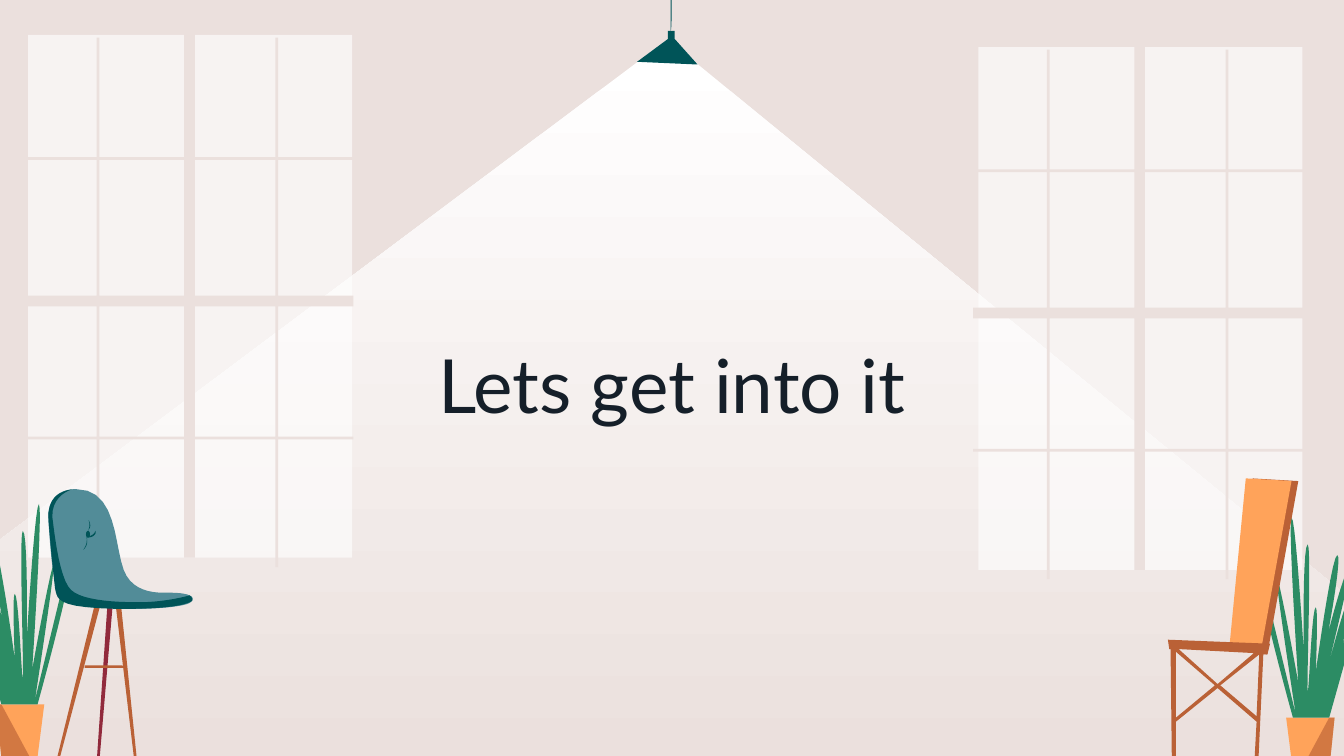
import itertools

import pptx
import pptx.dml.color
import pptx.enum.shapes
import pptx.enum.text
import pptx.oxml
import pptx.oxml.ns
import pptx.util
from pptx.util import Inches

COLORS = {
    "wall": "EBE0DD", "light": "FFFFFF", "teal": "005458", "seat": "528C98",
    "ink": "151F29", "orange": "FFA35A", "wood": "BA6136", "leaf": "2C8C64",
    "wine": "912A3C",
}

# Outlines: a pair is a corner, six numbers are a cubic curve.
CORD = [(4.99, -0.07), (5, -0.07, 5, 0.23, 4.99, 0.23)]
LEAVES = [
    (0.29, 3.75), (0.26, 3.75, 0.2, 4.74, 0.2, 4.74),
    (0.2, 4.74, 0.21, 3.96, 0.17, 3.95), (0.14, 3.95, 0.18, 5.04, 0.17, 5.05),
    (0.16, 5.05, 0.14, 4.42, 0.11, 4.42), (0.09, 4.42, 0.11, 4.9, 0.11, 4.9),
    (0.11, 4.9, -0.01, 4.03, -0.05, 4.03), (-0.09, 4.03, 0.02, 4.62, 0.02, 4.62),
    (0.02, 4.61, -0.11, 4.12, -0.14, 4.12), (-0.17, 4.12, 0.07, 5.06, 0.07, 5.06),
    (0.07, 5.06, -0.12, 4.3, -0.16, 4.3), (-0.18, 4.31, -0.13, 4.55, -0.07, 4.76),
    (-0.11, 4.62, -0.16, 4.49, -0.2, 4.49), (0.01, 5.24), (0.28, 5.24),
    (0.28, 5.24, 0.59, 4.13, 0.53, 4.1), (0.26, 5.21),
    (0.26, 5.21, 0.41, 4.24, 0.4, 4.2), (0.38, 4.2, 0.24, 4.98, 0.24, 4.98),
    (0.24, 4.98, 0.32, 3.77, 0.29, 3.75),
]
SEAT = [
    (0.57, 3.64), (0.87, 3.64, 0.85, 4.05, 0.92, 4.24),
    (0.98, 4.4, 1.14, 4.41, 1.22, 4.41), (1.24, 4.41, 1.25, 4.41, 1.27, 4.41),
    (1.33, 4.41, 1.48, 4.42, 1.42, 4.48), (1.39, 4.51, 1.2, 4.53, 1, 4.53),
    (0.77, 4.53, 0.52, 4.51, 0.47, 4.46), (0.39, 4.38, 0.38, 4.13, 0.36, 3.88),
    (0.34, 3.65, 0.52, 3.64, 0.55, 3.64),
]
SEAT_EDGE = [
    (0.54, 3.64), (0.54, 3.64, 0.38, 3.68, 0.39, 3.85),
    (0.41, 4.02, 0.45, 4.32, 0.53, 4.39), (0.6, 4.46, 0.82, 4.48, 0.99, 4.48),
    (1.03, 4.48, 1.06, 4.48, 1.09, 4.48), (1.28, 4.47, 1.41, 4.43, 1.41, 4.43),
    (1.41, 4.43, 1.44, 4.45, 1.43, 4.47), (1.42, 4.48, 1.34, 4.53, 0.96, 4.53),
    (0.93, 4.53, 0.9, 4.53, 0.86, 4.53), (0.4, 4.52, 0.43, 4.45, 0.41, 4.38),
    (0.4, 4.3, 0.36, 3.9, 0.36, 3.82), (0.37, 3.73, 0.41, 3.66, 0.54, 3.64),
]
THREADS = [
    [(0.66, 3.87), (0.67, 3.89, 0.68, 3.92, 0.66, 3.94),
     (0.65, 3.96, 0.64, 3.97, 0.64, 3.98), (0.65, 4, 0.66, 4.06, 0.62, 4.09),
     (0.65, 4.05, 0.65, 4.01, 0.64, 3.98), (0.64, 3.96, 0.68, 3.94, 0.66, 3.87)],
    [(0.71, 3.95), (0.72, 3.97, 0.7, 4, 0.65, 4),
     (0.65, 3.99, 0.7, 3.99, 0.71, 3.95)],
]
STOOL_LEGS = [
    ("wine", [(0.84, 4.48), (0.74, 5.66), (0.72, 5.66), (0.8, 4.49)]),
    ("wood", [(0.9, 4.49), (1.02, 5.66), (1, 5.66), (0.86, 4.49)]),
    ("wood", [(0.71, 4.48), (0.75, 4.49), (0.44, 5.66), (0.42, 5.66)]),
    ("wood", [(0.91, 4.95), (0.92, 4.97), (0.63, 4.97), (0.63, 4.95)]),
]
CHAIR_FRAME = [
    [(8.69, 4.76), (8.7, 4.83), (8.71, 4.83), (8.72, 5.71), (8.75, 5.71),
     (8.75, 5.37), (9.06, 5.12), (9.35, 5.37), (9.33, 5.74), (9.36, 5.74),
     (9.4, 4.87), (9.43, 4.87), (9.45, 4.79)],
    [(8.77, 4.83), (9.33, 4.86), (9.06, 5.09)],
    [(9.37, 4.87), (9.35, 5.33), (9.08, 5.1)],
    [(8.75, 4.85), (9.04, 5.1), (8.75, 5.34)],
]


def flatten(outline, steps=10):
    """Turn corners and cubic curves into a plain list of points."""
    points = []
    for part in outline:
        if len(part) == 2:
            points.append(part)
            continue
        controls = [points[-1], part[:2], part[2:4], part[4:]]
        for step in range(1, steps + 1):
            t = step / steps
            weights = ((1 - t) ** 3, 3 * t * (1 - t) ** 2, 3 * t * t * (1 - t), t ** 3)
            points.append(tuple(
                sum(w * control[axis] for w, control in zip(weights, controls))
                for axis in (0, 1)))
    return points


def lattice_contours(left=0.17, right=2.63):
    """Give the outer edge of the window bars, then the four inner openings."""
    bars = [(0.72, 0.74, 0.28, 4.22), (1.37, 1.45, 0.21, 4.15), (2.05, 2.07, 0.28, 4.22)]
    rails = [(1.17, 1.19), (2.2, 2.28), (3.25, 3.27)]
    upper, lower = rails[0][0], rails[-1][1]
    edge = []
    for x1, x2, top, _ in bars:
        edge += [(x1, upper), (x1, top), (x2, top), (x2, upper)]
    for y1, y2 in rails:
        edge += [(bars[-1][1], y1), (right, y1), (right, y2), (bars[-1][1], y2)]
    for x1, x2, _, bottom in reversed(bars):
        edge += [(x2, lower), (x2, bottom), (x1, bottom), (x1, lower)]
    for y1, y2 in reversed(rails):
        edge += [(bars[0][0], y2), (left, y2), (left, y1), (bars[0][0], y1)]
    openings = [
        [(a[1], c[1]), (a[1], d[0]), (b[0], d[0]), (b[0], c[1])]
        for (a, b), (c, d) in itertools.product(zip(bars, bars[1:]), zip(rails, rails[1:]))]
    return [edge] + openings


class Scene:
    def __init__(self, page):
        self.page = page
        self.shapes = page.shapes

    def start_group(self):
        self.shapes = self.page.shapes.add_group_shape().shapes

    def rgb(self, color):
        return pptx.dml.color.RGBColor.from_string(COLORS[color])

    def paint(self, shape, color, opacity=100):
        shape.shadow.inherit = False
        shape.line.fill.background()
        shape.fill.solid()
        shape.fill.fore_color.rgb = self.rgb(color)
        if opacity < 100:
            tag = pptx.oxml.ns.qn("a:srgbClr")
            for node in shape.element.spPr.iter(tag):
                alpha = pptx.oxml.parse_xml(
                    f'<a:alpha {pptx.oxml.ns.nsdecls("a")} val="{opacity * 1000}"/>')
                node.append(alpha)

    def outline(self, color, *contours, opacity=100, place=lambda x, y: (x, y)):
        """Draw one filled shape; later contours cut openings in the first."""
        builder = None
        for contour in contours:
            points = [tuple(Inches(v) for v in place(*p)) for p in flatten(contour)]
            if builder is None:
                builder = self.shapes.build_freeform(*points[0], scale=1.0)
            else:
                builder.move_to(*points[0])
            builder.add_line_segments(points[1:], close=True)
        shape = builder.convert_to_shape()
        self.paint(shape, color, opacity)
        return shape

    def oval(self, color, left, top, width, height):
        kind = pptx.enum.shapes.MSO_SHAPE.OVAL
        shape = self.shapes.add_shape(kind, *map(Inches, (left, top, width, height)))
        self.paint(shape, color)

    def title(self, text, left, top, width, height):
        box = self.page.shapes.add_textbox(*map(Inches, (left, top, width, height)))
        frame = box.text_frame
        frame.word_wrap = True
        frame.margin_left = frame.margin_right = Inches(0.1)
        frame.margin_top = frame.margin_bottom = Inches(0.1)
        para = frame.paragraphs[0]
        para.alignment = pptx.enum.text.PP_ALIGN.CENTER
        para.line_spacing = 0.8
        span = para.add_run()
        span.text = text
        span.font.name = "Lato"
        span.font.size = pptx.util.Pt(40)
        span.font.color.rgb = self.rgb("ink")

    def lamp(self):
        beam = self.outline("light", [(4.8, 0.42), (-0.02, 4.03), (-0.02, 5.64),
                                      (10.02, 5.65), (10.02, 4.43), (5.06, 0.37)])
        beam.fill.gradient()
        beam.fill.gradient_angle = 270
        for stop, color in zip(beam.fill.gradient_stops, ("light", "wall")):
            stop.color.rgb = self.rgb(color)
        self.outline("teal", [(5.02, 0.23), (5.02, 0.29), (5.19, 0.48),
                              (4.74, 0.46), (4.97, 0.29), (4.97, 0.23)])
        self.outline("teal", CORD)

    def window(self, place):
        self.start_group()
        glass = [(0.21, 0.26), (0.21, 4.15), (2.62, 4.15), (2.62, 0.26)]
        self.outline("light", glass, opacity=62, place=place)
        self.outline("wall", *lattice_contours(), place=place)

    def plant(self, place):
        self.start_group()
        pot = [(-0.03, 5.24), (0.01, 5.63), (0.28, 5.63), (0.33, 5.24)]
        shade = [(-0.03, 5.24), (0.01, 5.63), (0.22, 5.63), (0.01, 5.24)]
        self.outline("orange", pot, place=place)
        self.outline("leaf", LEAVES, place=place)
        self.outline("wood", shade, opacity=65, place=place)

    def stool(self):
        self.start_group()
        for color, leg in STOOL_LEGS:
            self.outline(color, leg)
        self.outline("seat", SEAT)
        self.outline("teal", SEAT_EDGE)
        self.oval("teal", 0.64, 3.95, 0.03, 0.05)
        for thread in THREADS:
            self.outline("teal", thread)

    def chair(self):
        self.start_group()
        self.outline("wood", [(9.32, 3.56), (9.18, 4.83), (9.43, 4.87), (9.66, 3.58)])
        self.outline("orange", [(9.27, 3.56), (9.15, 4.79), (9.39, 4.8), (9.61, 3.58)])
        self.outline("wood", *CHAIR_FRAME)


def main():
    deck = pptx.Presentation()
    deck.slide_width = Inches(10)
    deck.slide_height = Inches(10 * 9 / 16)
    page = deck.slides.add_slide(deck.slide_layouts[6])
    scene = Scene(page)
    page.background.fill.solid()
    page.background.fill.fore_color.rgb = scene.rgb("wall")

    scene.lamp()
    scene.window(lambda x, y: (x, y))
    scene.window(lambda x, y: (x + 7.07, y + 0.09))
    scene.title("Lets get into it", 1.52, 2.55, 6.96, 1.3)
    scene.plant(lambda x, y: (x, y))
    scene.stool()
    scene.plant(lambda x, y: (9.9 - x, y + 0.1))
    scene.chair()
    deck.save("out.pptx")


if __name__ == "__main__":
    main()
